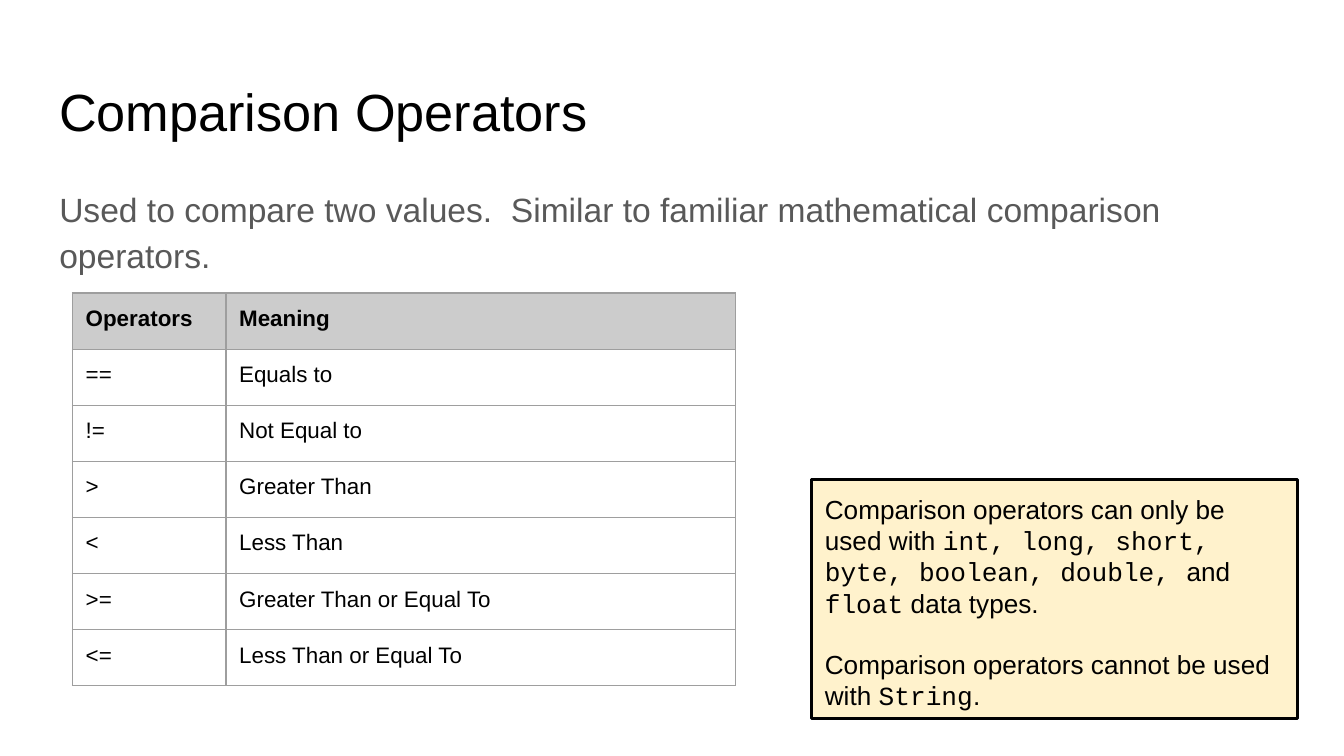
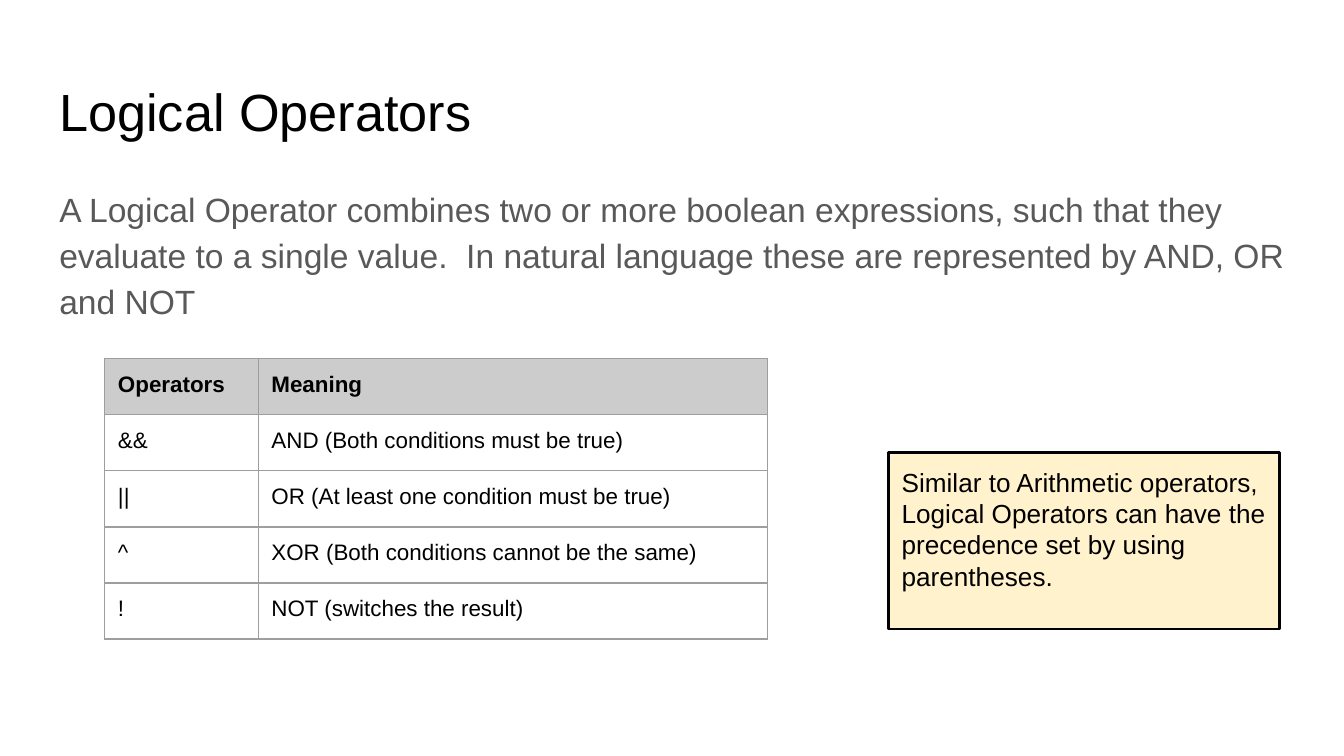
import pptx
import pptx.util
import pptx.dml.color
import pptx.enum.shapes
import pptx.enum.text
import pptx.oxml
import pptx.oxml.ns

Cm, Pt = pptx.util.Cm, pptx.util.Pt
RGB = pptx.dml.color.RGBColor.from_string
TOP = pptx.enum.text.MSO_ANCHOR.TOP
LEFT = pptx.enum.text.PP_ALIGN.LEFT
hues = {"ink": "000000", "gray": "595959", "head": "CCCCCC",
        "cell": "FFFFFF", "rule": "9E9E9E", "note": "FFF2CC"}
pad = Cm(0.25)
row_h = Cm(1.06)
cols = [Cm(2.9), Cm(9.63)]

# Text between backticks is code
decks = [
    {"title": "Comparison Operators",
     "body": "Used to compare two values.  Similar to familiar mathematical "
             "comparison operators.",
     "body_h": 2.21,
     "grid_at": (1.37, 5.54),
     "rows": [("==", "Equals to"), ("!=", "Not Equal to"),
              (">", "Greater Than"), ("<", "Less Than"),
              (">=", "Greater Than or Equal To"),
              ("<=", "Less Than or Equal To")],
     "note_at": (15.34, 9.07, 9.19, 4.52),
     "note": ["Comparison operators can only be used with `int, long, short, "
              "byte, boolean, double, `and `float` data types.",
              "Comparison operators cannot be used with `String`."]},
    {"title": "Logical Operators",
     "body": "A Logical Operator combines two or more boolean expressions, "
             "such that they evaluate to a single value.  In natural language "
             "these are represented by AND, OR and NOT",
     "body_h": 9.5,
     "grid_at": (1.98, 6.78),
     "rows": [("&&", "AND (Both conditions must be true)"),
              ("||", "OR (At least one condition must be true)"),
              ("^", "XOR (Both conditions cannot be the same)"),
              ("!", "NOT (switches the result)")],
     "note_at": (16.79, 8.56, 7.39, 3.33),
     "note": ["Similar to Arithmetic operators, Logical Operators can have "
              "the precedence set by using parentheses."]},
]


def write(frame, *texts, size=12, hue="ink", bold=False, line=1.0,
          gap=0, after=0):
    """Fill a text frame, one paragraph for each text."""
    frame.word_wrap = True
    frame.vertical_anchor = TOP
    frame.margin_left = frame.margin_right = pad
    frame.margin_top = frame.margin_bottom = pad
    for i, text in enumerate(texts):
        para = frame.add_paragraph() if i else frame.paragraphs[0]
        para.alignment = LEFT
        para.line_spacing = line
        para.space_before = Pt(gap if i else 0)
        para.space_after = Pt(after)
        for j, part in enumerate(text.split("`")):
            if part:
                run = para.add_run()
                run.text = part
                font = run.font
                font.name = "Courier New" if j % 2 else "Arial"
                font.size, font.bold = Pt(size), bold
                font.color.rgb = RGB(hues[hue])


def edge(cell):
    """Draw a thin rule on all four sides of a cell."""
    props = cell._tc.get_or_add_tcPr()
    for i, side in enumerate(("lnL", "lnR", "lnT", "lnB")):
        props.insert(i, pptx.oxml.parse_xml(
            f'<a:{side} {pptx.oxml.ns.nsdecls("a")} w="{Pt(0.75)}"><a:solidFill>'
            f'<a:srgbClr val="{hues["rule"]}"/></a:solidFill></a:{side}>'))


prs = pptx.Presentation()
prs.slide_width, prs.slide_height = Cm(25.4), Cm(14.29)

for deck in decks:
    slide = prs.slides.add_slide(prs.slide_layouts[1])

    # Title and body
    title, body = slide.shapes.title, slide.placeholders[1]
    for box, top, high in ((title, 1.24, 1.59), (body, 3.2, deck["body_h"])):
        box.left, box.top = Cm(0.87), Cm(top)
        box.width, box.height = Cm(23.67), Cm(high)
        box.text_frame.auto_size = pptx.enum.text.MSO_AUTO_SIZE.NONE
    write(title.text_frame, deck["title"], size=28)
    write(body.text_frame, deck["body"], size=18, hue="gray", line=1.15,
          after=16)
    props = body.text_frame.paragraphs[0]._p.get_or_add_pPr()
    props.set("marL", "0")
    props.set("indent", "0")
    props.append(pptx.oxml.parse_xml(
        f'<a:buNone {pptx.oxml.ns.nsdecls("a")}/>'))

    # Table of operators
    rows = [("Operators", "Meaning")] + deck["rows"]
    left, top = deck["grid_at"]
    grid = slide.shapes.add_table(len(rows), len(cols), Cm(left), Cm(top),
                                  sum(cols), row_h * len(rows)).table
    grid.first_row = grid.horz_banding = False
    for col, wide in zip(grid.columns, cols):
        col.width = wide
    for r, row in enumerate(rows):
        grid.rows[r].height = row_h
        for c, text in enumerate(row):
            cell = grid.cell(r, c)
            cell.margin_left = cell.margin_right = pad
            cell.margin_top = cell.margin_bottom = pad
            cell.fill.solid()
            cell.fill.fore_color.rgb = RGB(hues["cell" if r else "head"])
            write(cell.text_frame, text, bold=r == 0)
            edge(cell)

    # Note
    note = slide.shapes.add_shape(pptx.enum.shapes.MSO_SHAPE.RECTANGLE,
                                  *map(Cm, deck["note_at"]))
    note.shadow.inherit = False
    note.fill.solid()
    note.fill.fore_color.rgb = RGB(hues["note"])
    note.line.color.rgb = RGB(hues["ink"])
    note.line.width = Pt(1.5)
    write(note.text_frame, *deck["note"], size=14, gap=16)

prs.save("out.pptx")
